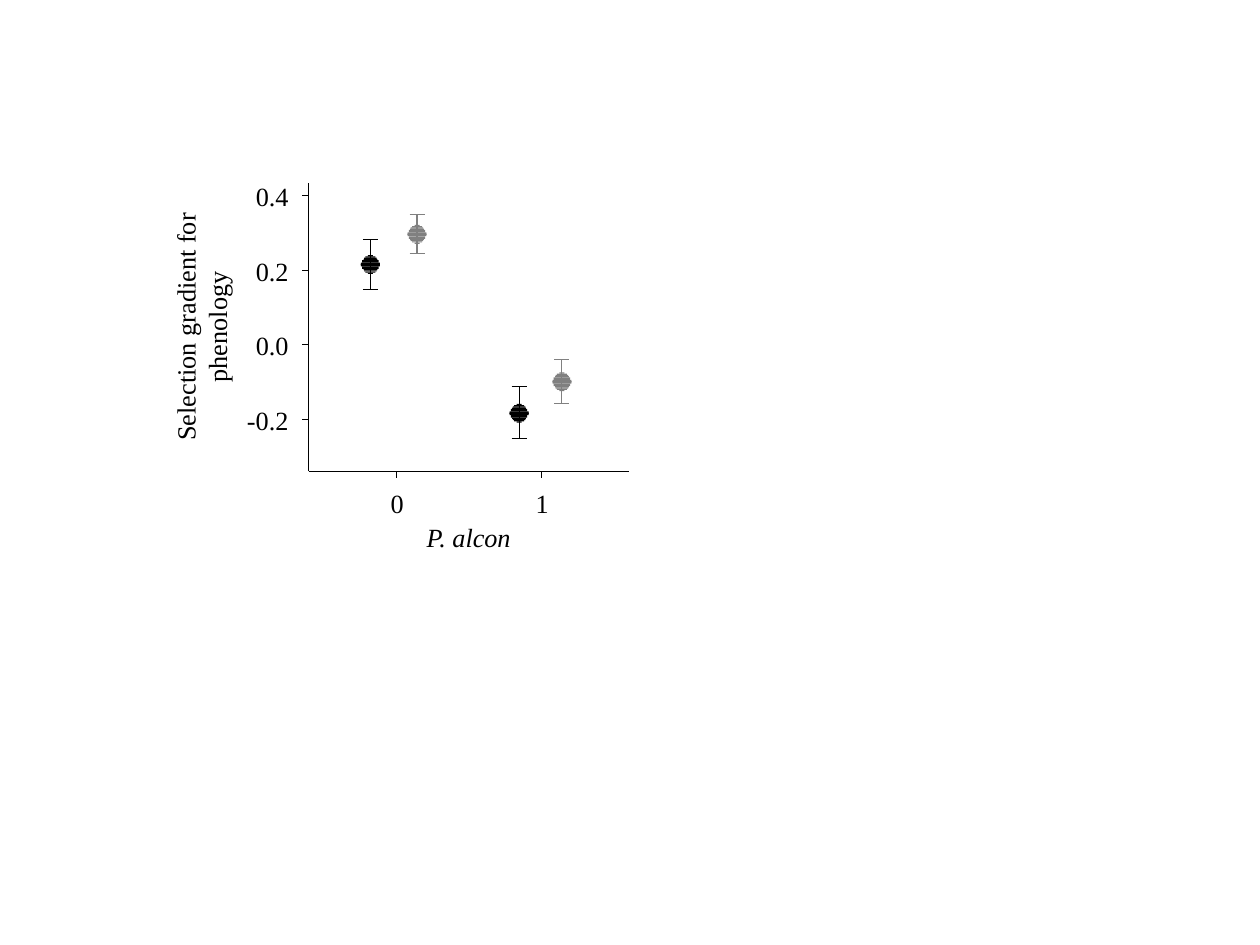
from dataclasses import dataclass

import pptx
import pptx.dml.color
import pptx.enum.shapes
import pptx.enum.text
import pptx.oxml
import pptx.oxml.ns
import pptx.shapes.shapetree
import pptx.util

Inches = pptx.util.Inches
Shapes = pptx.shapes.shapetree.GroupShapes
Align = pptx.enum.text.PP_ALIGN
BLACK = pptx.dml.color.RGBColor(0x00, 0x00, 0x00)
GRAY = pptx.dml.color.RGBColor(0x80, 0x80, 0x80)

AXIS_LEFT, AXIS_RIGHT = 2.45, 4.99
AXIS_TOP, AXIS_BOTTOM = 1.45, 3.74
TICK = 0.05
CAP_WIDTH = 0.12
MARKER_SIZE = 0.15
# Width, top and height of the strips in the upper half of a round marker
MARKER_STRIPS = (
    (0.04, 0.00, 0.01),
    (0.08, 0.01, 0.01),
    (0.10, 0.02, 0.01),
    (0.11, 0.03, 0.01),
    (0.13, 0.04, 0.02),
    (0.15, 0.06, 0.02),
)
MIDDLE_STRIP = (0.15, 0.07, 0.01)
TEXT_FORMAT = {"name": "Times New Roman", "size": pptx.util.Pt(15)}


@dataclass(frozen=True)
class Estimate:
    x: float
    mean: float
    top: float
    bottom: float


@dataclass(frozen=True)
class Label:
    text: str
    left: float
    top: float
    width: float
    height: float = 0.28
    align: Align | None = None
    rotation: float = 0
    italic: bool | None = None
    wrap: bool = False


BLACK_ESTIMATES = (Estimate(2.94, 2.1, 1.9, 2.3), Estimate(4.12, 3.28, 3.07, 3.48))
GRAY_ESTIMATES = (Estimate(3.31, 1.86, 1.7, 2.01), Estimate(4.46, 3.03, 2.85, 3.2))
Y_LABELS = (("-0.2", 1.96, 0.41), ("0.0", 2.03, 0.35),
            ("0.2", 2.03, 0.35), ("0.4", 2.03, 0.35))
Y_FIRST_TICK, Y_STEP = 3.33, 0.593
X_TICKS = (("0", 3.15), ("1", 4.3))


def draw_line(shapes: Shapes, x1: float, y1: float, x2: float, y2: float,
              color: pptx.dml.color.RGBColor = BLACK) -> None:
    line = shapes.add_connector(
        pptx.enum.shapes.MSO_CONNECTOR.STRAIGHT,
        Inches(x1), Inches(y1), Inches(x2), Inches(y2))
    line.line.color.rgb = color
    line.line.width = pptx.util.Pt(0.63)
    properties = line._element.spPr
    properties.append(pptx.oxml.parse_xml(
        f"<a:effectLst {pptx.oxml.ns.nsdecls('a')}/>"))


def draw_error_bar(shapes: Shapes, estimate: Estimate,
                   color: pptx.dml.color.RGBColor) -> None:
    x, half = estimate.x, CAP_WIDTH / 2
    draw_line(shapes, x - half, estimate.top, x + half, estimate.top, color)
    draw_line(shapes, x, estimate.top, x, estimate.bottom, color)
    draw_line(shapes, x - half, estimate.bottom, x + half, estimate.bottom, color)


def draw_marker(shapes: Shapes, estimate: Estimate,
                color: pptx.dml.color.RGBColor) -> None:
    """Draw a disc of horizontal strips, mirrored about its middle."""
    mirrored = [(width, MARKER_SIZE - top - height, height)
                for width, top, height in MARKER_STRIPS]
    for width, top, height in (*MARKER_STRIPS, *mirrored, MIDDLE_STRIP):
        strip = shapes.add_shape(
            pptx.enum.shapes.MSO_SHAPE.RECTANGLE,
            Inches(estimate.x - width / 2),
            Inches(estimate.mean - MARKER_SIZE / 2 + top),
            Inches(width), Inches(height))
        strip.shadow.inherit = False
        strip.fill.solid()
        strip.fill.fore_color.rgb = color
        strip.line.fill.background()


def draw_series(shapes: Shapes, estimates: tuple[Estimate, ...],
                color: pptx.dml.color.RGBColor) -> None:
    for estimate in estimates:
        draw_error_bar(shapes, estimate, color)
    for estimate in estimates:
        draw_marker(shapes, estimate, color)


def draw_label(shapes: Shapes, label: Label) -> None:
    box = shapes.add_textbox(Inches(label.left), Inches(label.top),
                             Inches(label.width), Inches(label.height))
    box.rotation = label.rotation
    frame = box.text_frame
    frame_format = {
        "margin_left": 0, "margin_right": 0, "margin_top": 0, "margin_bottom": 0,
        "word_wrap": label.wrap,
        "auto_size": pptx.enum.text.MSO_AUTO_SIZE.SHAPE_TO_FIT_TEXT,
        "text": label.text,
    }
    for name, value in frame_format.items():
        setattr(frame, name, value)
    for paragraph in frame.paragraphs:
        paragraph.alignment = label.align
        for run in paragraph.runs:
            for name, value in {**TEXT_FORMAT, "italic": label.italic}.items():
                setattr(run.font, name, value)
            run.font.color.rgb = BLACK


def draw_axes(shapes: Shapes) -> None:
    draw_line(shapes, AXIS_LEFT, AXIS_BOTTOM, AXIS_LEFT, AXIS_TOP)
    draw_line(shapes, AXIS_LEFT, AXIS_BOTTOM, AXIS_RIGHT, AXIS_BOTTOM)
    for index, (text, left, width) in enumerate(Y_LABELS):
        y = Y_FIRST_TICK - index * Y_STEP
        draw_line(shapes, AXIS_LEFT - TICK, y, AXIS_LEFT, y)
        draw_label(shapes, Label(text, left, y - 0.12, width))
    for text, x in X_TICKS:
        draw_line(shapes, x, AXIS_BOTTOM + TICK, x, AXIS_BOTTOM)
        draw_label(shapes, Label(text, x - 0.05, 3.87, 0.19))
    draw_label(shapes, Label("Selection gradient for\nphenology", 0.69, 2.34, 1.82,
                             0.51, align=Align.CENTER, rotation=270))


def main() -> None:
    presentation = pptx.Presentation()
    presentation.slide_width = Inches(10)
    presentation.slide_height = Inches(7.5)
    slide = presentation.slides.add_slide(presentation.slide_layouts[6])

    black_group = slide.shapes.add_group_shape()
    draw_series(black_group.shapes, BLACK_ESTIMATES, BLACK)
    draw_axes(black_group.shapes)
    gray_group = slide.shapes.add_group_shape()
    draw_series(gray_group.shapes, GRAY_ESTIMATES, GRAY)
    draw_label(slide.shapes, Label("P. alcon", AXIS_LEFT, 4.14, AXIS_RIGHT - AXIS_LEFT,
                                   0.25, align=Align.CENTER, italic=True, wrap=True))
    presentation.save("out.pptx")


if __name__ == "__main__":
    main()
